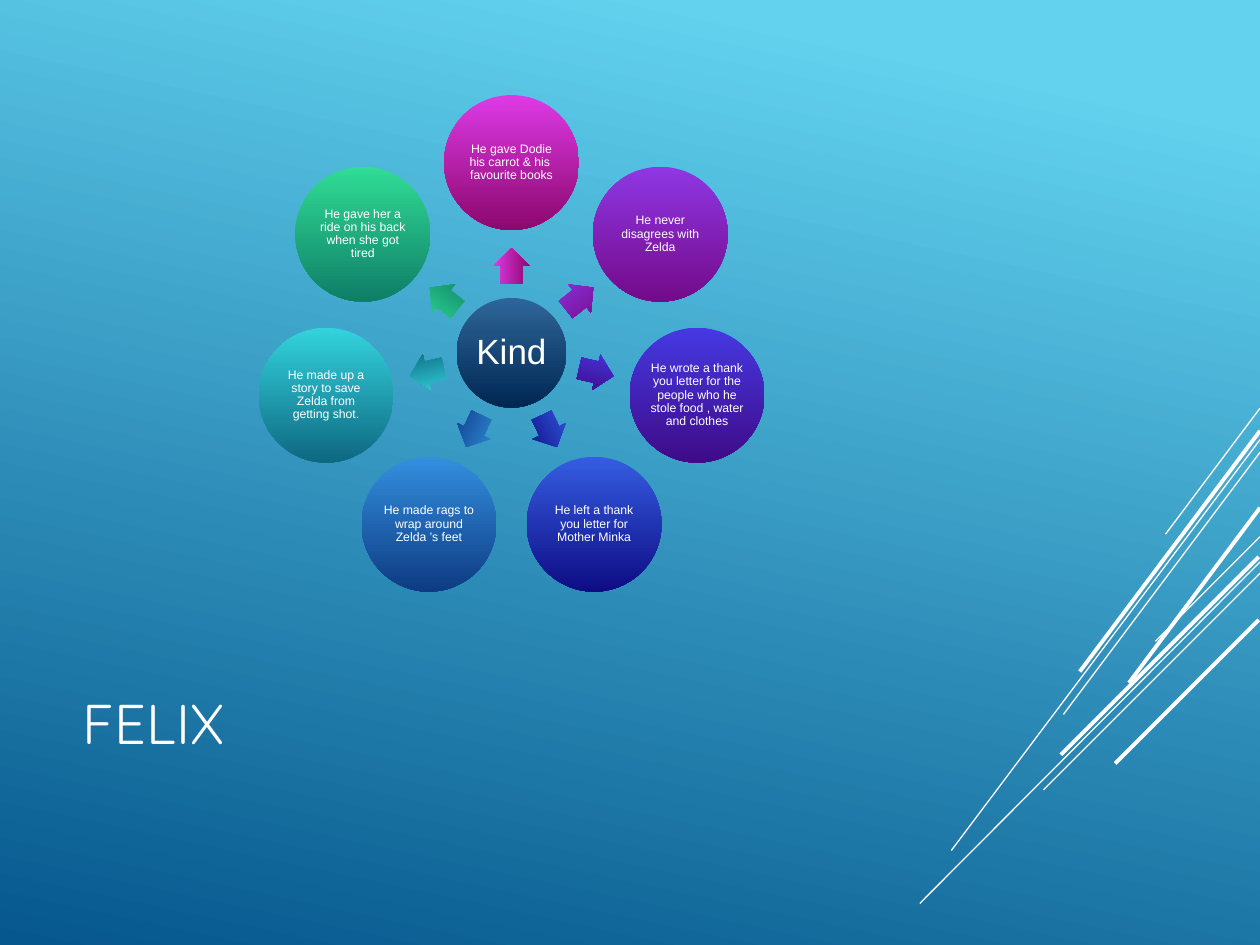
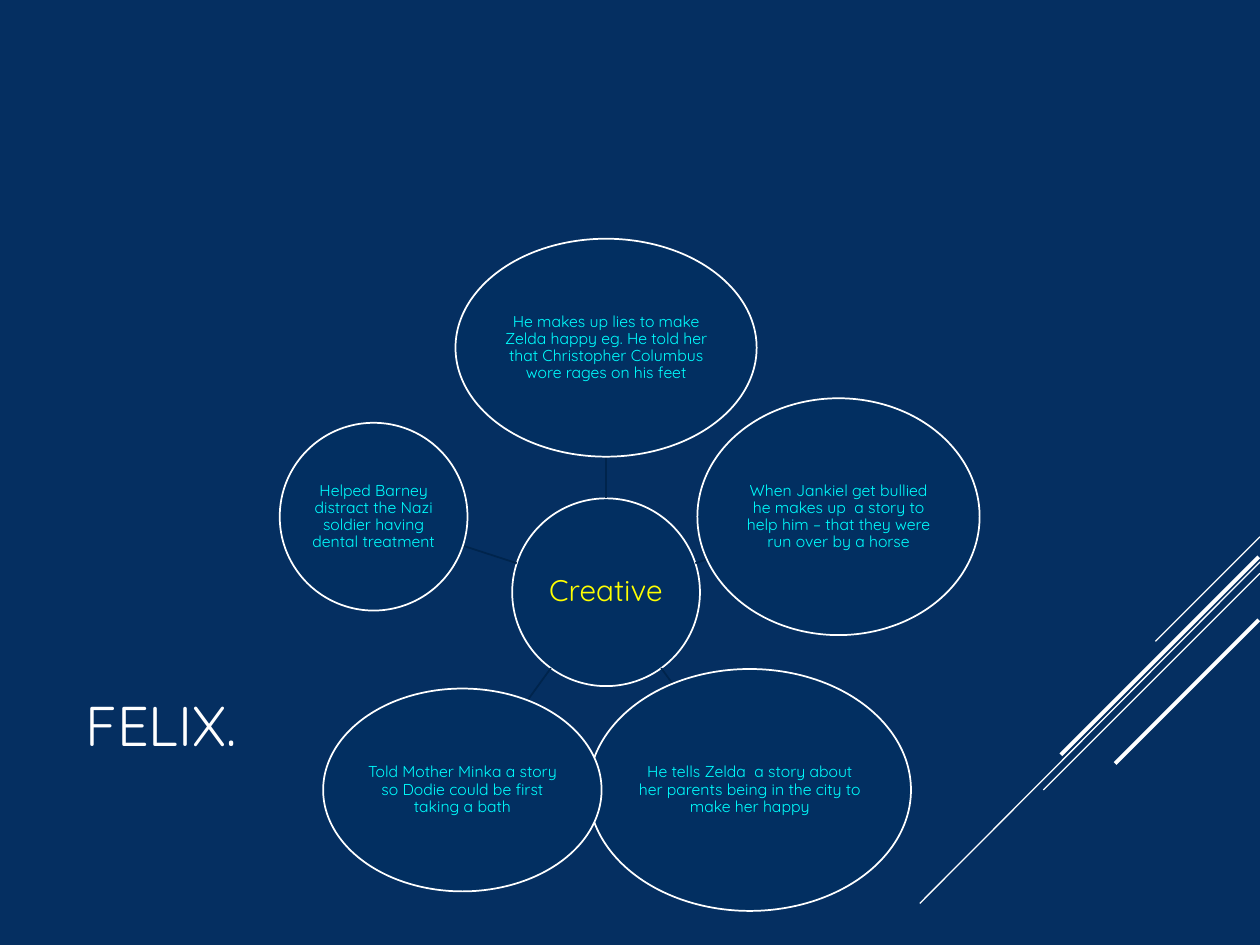
from math import cos, hypot, pi, sin

from lxml import etree
from pptx import Presentation, util as u
from pptx.dml.color import RGBColor
from pptx.enum import shapes, text
from pptx.oxml import ns

COLORS = {
    "white": "FFFFFF", "navy": "052F61", "disc": "022F61", "link": "00244C",
    "yellow": "FFFF00", "aqua": "00FFFF", "sky": "62D2EF", "sea": "05578D",
}
HUB = ("2E6699", "002752")
TITLE = "Quicksand"
SHAPE = shapes.MSO_SHAPE

# Slanted lines: x1, y1, x2, y2, width in points
RAYS = [
    (10, 4.26, 9.17, 5.09, 0.75), (10, 4.46, 7.3, 7.17, 0.75),
    (10, 4.55, 8.28, 6.27, 0.75), (9.99, 4.42, 8.42, 5.99, 2.25),
    (9.99, 4.92, 8.85, 6.06, 2.25),
]
STEEP = [
    (10, 3.24, 9.25, 4.24, 0.75), (10, 3.49, 7.55, 6.75, 0.75),
    (10, 3.59, 8.44, 5.67, 0.75), (10, 3.42, 8.57, 5.33, 2.25),
    (10, 4.03, 8.96, 5.42, 2.25),
]

# Kind deeds clockwise from the top: words, light and dark shade
KIND = [
    ("He gave Dodie his carrot & his  favourite books", "DD3AE5", "8C086E"),
    ("He never disagrees with Zelda", "8F37E4", "730A89"),
    ("He wrote a thank you letter for the people who he stole food , water and clothes",
     "4538E2", "3F0B87"),
    ("He left a thank you letter for Mother Minka", "355DE1", "0E0C84"),
    ("He made rags to wrap around Zelda ’s feet", "348FDF", "0D3B83"),
    ("He made up a story to save Zelda from getting shot.", "33D3DD", "0E6881"),
    ("He gave her a ride on his back when she got tired", "31DC95", "0E7E67"),
]

# Creative deeds clockwise from the top: words, width, height
CLEVER = [
    ("He makes up lies to make Zelda happy eg. He told her that Christopher Columbus "
     "wore rages on his feet", 2.39, 1.73),
    ("When Jankiel get bullied he makes up  a story to help him – that they were run "
     "over by a horse", 2.24, 1.88),
    ("He tells Zelda  a story about her parents being in the city to make her happy",
     2.56, 1.92),
    ("Told Mother Minka a story so Dodie could be first taking a bath", 2.21, 1.61),
    ("Helped Barney distract the Nazi soldier having dental treatment", 1.49, 1.49),
]


def rgb(name):
    return RGBColor.from_string(COLORS.get(name, name))


def blend(fill, light, dark, angle=270, start=0):
    """Fill with two shades; the angle runs counter-clockwise."""
    fill.gradient()
    fill.gradient_angle = angle
    for stop, shade, place in zip(fill.gradient_stops, (light, dark), (start, 1)):
        stop.color.rgb = rgb(shade)
        stop.position = place


def write(shape, words, size=9, font=TITLE, color="white", align="CENTER",
          pad=(0.01, 0.01), lead=0.9):
    frame = shape.text_frame
    frame.word_wrap = True
    frame.vertical_anchor = text.MSO_ANCHOR.MIDDLE
    frame.margin_left = frame.margin_right = u.Inches(pad[0])
    frame.margin_top = frame.margin_bottom = u.Inches(pad[1])
    para = frame.paragraphs[0]
    para.alignment = text.PP_ALIGN[align]
    para.line_spacing = lead
    run = para.add_run()
    run.text = words
    run.font.size = u.Pt(size)
    run.font.name = font
    run.font.color.rgb = rgb(color)


def ring(count, mid, reach):
    """Yield angle and centre of equal steps, clockwise from the top."""
    for step in range(count):
        turn = 2 * pi * step / count - pi / 2
        yield turn, spot(mid, turn, reach)


def spot(mid, turn, reach):
    return mid[0] + reach * cos(turn), mid[1] + reach * sin(turn)


class Deck:
    def __init__(self):
        self.show = Presentation()
        self.show.slide_width, self.show.slide_height = u.Inches(10), u.Inches(7.5)
        self.slide = None

    def page(self):
        self.slide = self.show.slides.add_slide(self.show.slide_layouts[6])
        self.rays(RAYS)
        return self.slide.background.fill

    def title(self, words, *box):
        shape = self.slide.shapes.add_textbox(*map(u.Inches, box))
        write(shape, words, size=32, align="LEFT", pad=(0.1, 0.05), lead=1)

    def line(self, start, end, color="white", width=1):
        link = self.slide.shapes.add_connector(
            shapes.MSO_CONNECTOR.STRAIGHT, *map(u.Inches, (*start, *end)))
        link.line.color.rgb = rgb(color)
        link.line.width = u.Pt(width)
        etree.SubElement(link.element.spPr, ns.qn("a:effectLst"))

    def rays(self, rows):
        for x1, y1, x2, y2, width in rows:
            self.line((x1, y1), (x2, y2), width=width)

    def form(self, kind, mid, wide, high, fill, edge=None):
        box = (mid[0] - wide / 2, mid[1] - high / 2, wide, high)
        shape = self.slide.shapes.add_shape(kind, *map(u.Inches, box))
        shape.shadow.inherit = False
        if isinstance(fill, tuple):
            blend(shape.fill, *fill)
        else:
            shape.fill.solid()
            shape.fill.fore_color.rgb = rgb(fill)
        if edge:
            shape.line.color.rgb = rgb(edge)
            shape.line.width = u.Pt(1)
        else:
            shape.line.fill.background()
        return shape

    def disc(self, words, mid, wide, high, fill, edge=None, **style):
        write(self.form(SHAPE.OVAL, mid, wide, high, fill, edge), words, **style)

    def arrow(self, mid, turn, fill):
        shape = self.form(SHAPE.RIGHT_ARROW, mid, 0.28, 0.29, fill)
        shape.adjustments[0], shape.adjustments[1] = 0.6, 0.5
        shape.rotation = turn * 180 / pi % 360


def kind_page(deck):
    blend(deck.page(), "sky", "sea", angle=258, start=0.1)
    deck.title("FELIX", 0.56, 4.91, 7, 1.65)
    deck.rays(STEEP)

    # Hub with arrows out to seven discs
    mid = (4.06, 2.8)
    deck.disc("Kind", mid, 0.87, 0.87, HUB, size=20, font="Arial", pad=(0, 0))
    for (words, *shades), (turn, place) in zip(KIND, ring(len(KIND), mid, 1.51)):
        deck.arrow(spot(mid, turn, 0.69), turn, tuple(shades))
        deck.disc(words, place, 1.07, 1.07, tuple(shades), size=7, font="Arial")


def clever_page(deck):
    fill = deck.page()
    fill.solid()
    fill.fore_color.rgb = rgb("navy")
    deck.title("FELIX.", 0.58, 4.91, 7.17, 1.67)

    # Hub with links from its edge to the edge of each disc
    mid, hub, reach = (4.81, 4.7), 1.49, 1.94
    deck.disc("Creative", mid, hub, hub, "disc", "white", size=17, color="yellow")
    for (words, wide, high), (turn, place) in zip(CLEVER, ring(len(CLEVER), mid, reach)):
        inner = 0.5 / hypot(cos(turn) / wide, sin(turn) / high)
        deck.line(spot(mid, turn, hub / 2), spot(mid, turn, reach - inner), "link")
        deck.disc(words, place, wide, high, "disc", "white", color="aqua")


def main():
    deck = Deck()
    kind_page(deck)
    clever_page(deck)
    deck.show.save("out.pptx")


if __name__ == "__main__":
    main()
